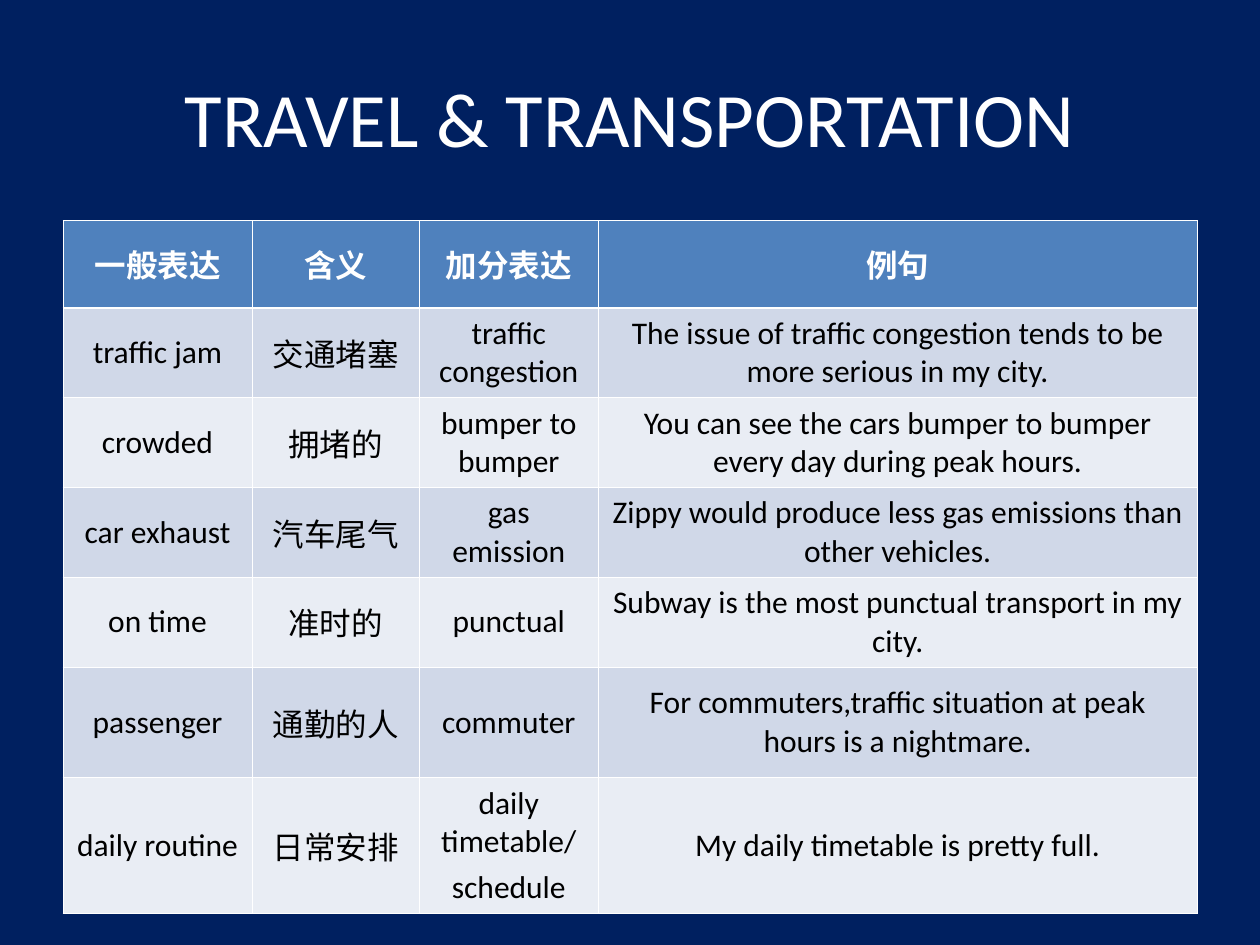
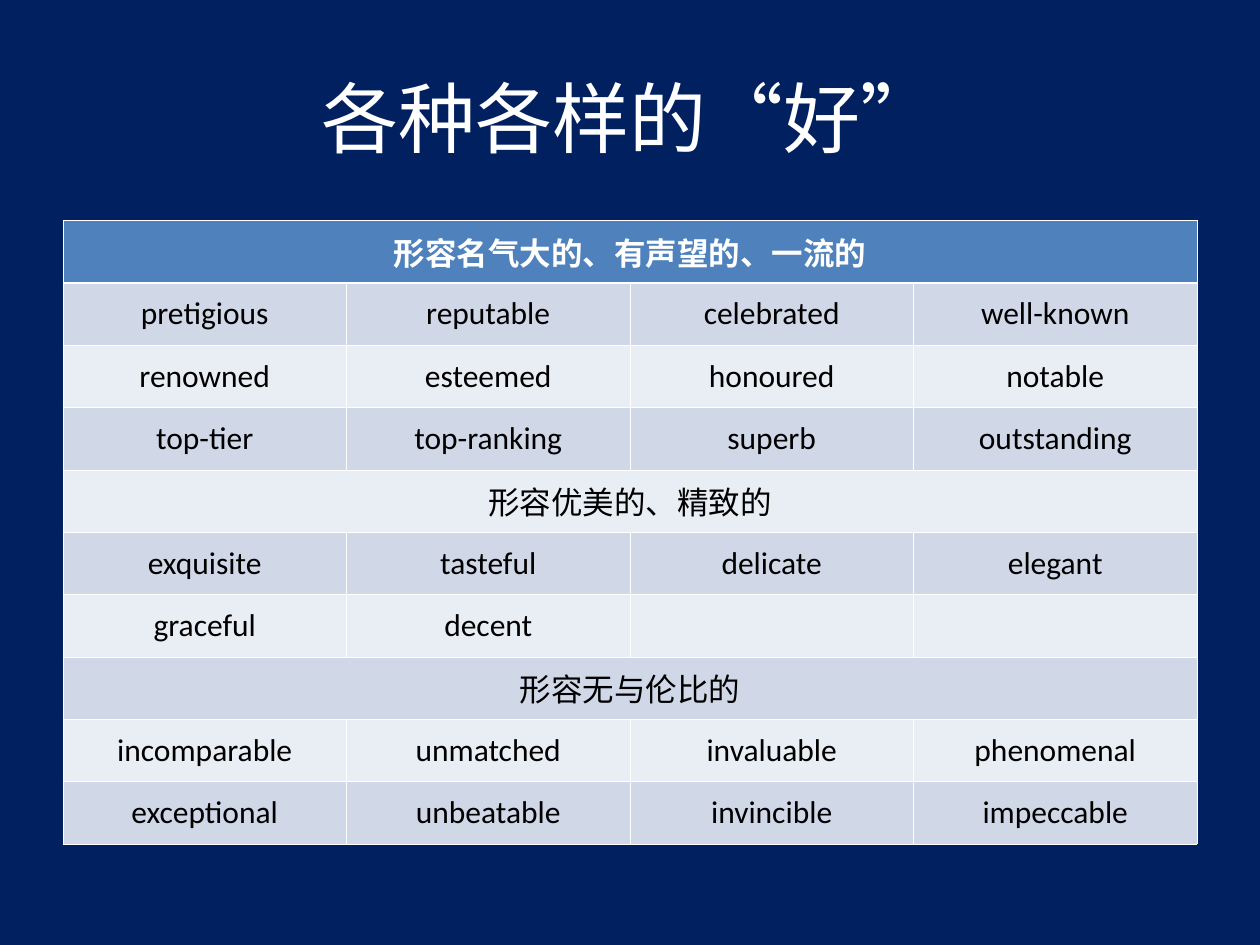
from lxml import etree
from pptx import Presentation
from pptx import util as u
from pptx.dml.color import RGBColor
from pptx.enum import text
from pptx.oxml import ns

LATIN, CJK = "Calibri", "Noto Sans CJK SC"
NAVY = RGBColor(0x00, 0x20, 0x60)
WHITE = RGBColor(0xFF, 0xFF, 0xFF)
BLACK = RGBColor(0x00, 0x00, 0x00)
HEADER = RGBColor(0x4F, 0x81, 0xBD)
BANDS = (RGBColor(0xE9, 0xED, 0xF4), RGBColor(0xD0, 0xD8, 0xE8))

LEFT, WIDTH = 36, 648
TITLE_TOP, TITLE_HEIGHT, TABLE_TOP = 21.6, 90, 126
THIN, THICK = 0.45, 1.47

TRAVEL = [
    ("一般表达", "含义", "加分表达", "例句"),
    ("traffic jam", "交通堵塞", "traffic congestion",
     "The issue of traffic congestion tends to be more serious in my city."),
    ("crowded", "拥堵的", "bumper to bumper",
     "You can see the cars bumper to bumper every day during peak hours."),
    ("car exhaust", "汽车尾气", "gas emission",
     "Zippy would produce less gas emissions than other vehicles."),
    ("on time", "准时的", "punctual",
     "Subway is the most punctual transport in my city."),
    ("passenger", "通勤的人", "commuter",
     "For commuters,traffic situation at peak hours is a nightmare."),
    ("daily routine", "日常安排", "daily timetable/\nschedule",
     "My daily timetable is pretty full."),
]
GOOD = [
    ("形容名气大的、有声望的、一流的",),
    ("pretigious", "reputable", "celebrated", "well-known"),
    ("renowned", "esteemed", "honoured", "notable"),
    ("top-tier", "top-ranking", "superb", "outstanding"),
    ("形容优美的、精致的",),
    ("exquisite", "tasteful", "delicate", "elegant"),
    ("graceful", "decent", "", ""),
    ("形容无与伦比的",),
    ("incomparable", "unmatched", "invaluable", "phenomenal"),
    ("exceptional", "unbeatable", "invincible", "impeccable"),
]
SLIDES = [
    dict(title="TRAVEL & TRANSPORTATION", font=LATIN, rows=TRAVEL,
         widths=[108, 95.5, 102.5, 342], heights=[50] + [51.3] * 4 + [63.4, 77.4]),
    dict(title="各种各样的“好”", font=CJK, rows=GOOD,
         widths=[WIDTH / 4] * 4, heights=[35.65] * len(GOOD)),
]


def add_run(p, words, size, color, font=LATIN, bold=False):
    p.alignment = text.PP_ALIGN.CENTER
    r = p.add_run()
    r.text = words
    r.font.size = u.Pt(size)
    r.font.name = font
    r.font.bold = bold
    r.font.color.rgb = color
    ea = etree.SubElement(r.font._element, ns.qn("a:ea"))
    ea.set("typeface", CJK)


def add_title(s, words, font):
    sp = s.shapes.add_textbox(u.Pt(LEFT), u.Pt(TITLE_TOP), u.Pt(WIDTH), u.Pt(TITLE_HEIGHT))
    tf = sp.text_frame
    tf.word_wrap = True
    tf.vertical_anchor = text.MSO_ANCHOR.MIDDLE
    add_run(tf.paragraphs[0], words, 44, WHITE, font)


def set_borders(cell, row):
    tcPr = cell._tc.get_or_add_tcPr()
    heavy = {0: "B", 1: "T"}.get(row)
    for side in "LRTB":
        ln = etree.SubElement(tcPr, ns.qn(f"a:ln{side}"))
        ln.set("w", str(u.Pt(THICK if side == heavy else THIN)))
        fill = etree.SubElement(ln, ns.qn("a:solidFill"))
        etree.SubElement(fill, ns.qn("a:srgbClr")).set("val", str(WHITE))


def fill_cell(cell, words, row):
    set_borders(cell, row)
    cell.fill.solid()
    cell.fill.fore_color.rgb = BANDS[row % 2] if row else HEADER
    cell.vertical_anchor = text.MSO_ANCHOR.MIDDLE
    tf = cell.text_frame
    for i, line in enumerate(words.split("\n") if words else []):
        p = tf.add_paragraph() if i else tf.paragraphs[0]
        p.space_before = u.Pt(4.5)
        add_run(p, line, 18, BLACK if row else WHITE, bold=row == 0)


def add_word_table(s, rows, widths, heights):
    table = s.shapes.add_table(len(rows), len(widths), u.Pt(LEFT), u.Pt(TABLE_TOP),
                               u.Pt(WIDTH), u.Pt(sum(heights))).table
    for column, width in zip(table.columns, widths):
        column.width = u.Pt(width)
    for i, (words, height) in enumerate(zip(rows, heights)):
        table.rows[i].height = u.Pt(height)
        if len(words) == 1:
            table.cell(i, 0).merge(table.cell(i, len(widths) - 1))
        for j, word in enumerate(words):
            fill_cell(table.cell(i, j), word, i)


def main():
    prs = Presentation()
    prs.slide_width, prs.slide_height = u.Pt(720), u.Pt(540)
    for content in SLIDES:
        s = prs.slides.add_slide(prs.slide_layouts[6])
        s.background.fill.solid()
        s.background.fill.fore_color.rgb = NAVY
        add_title(s, content["title"], content["font"])
        add_word_table(s, content["rows"], content["widths"], content["heights"])
    prs.save("out.pptx")


if __name__ == "__main__":
    main()
